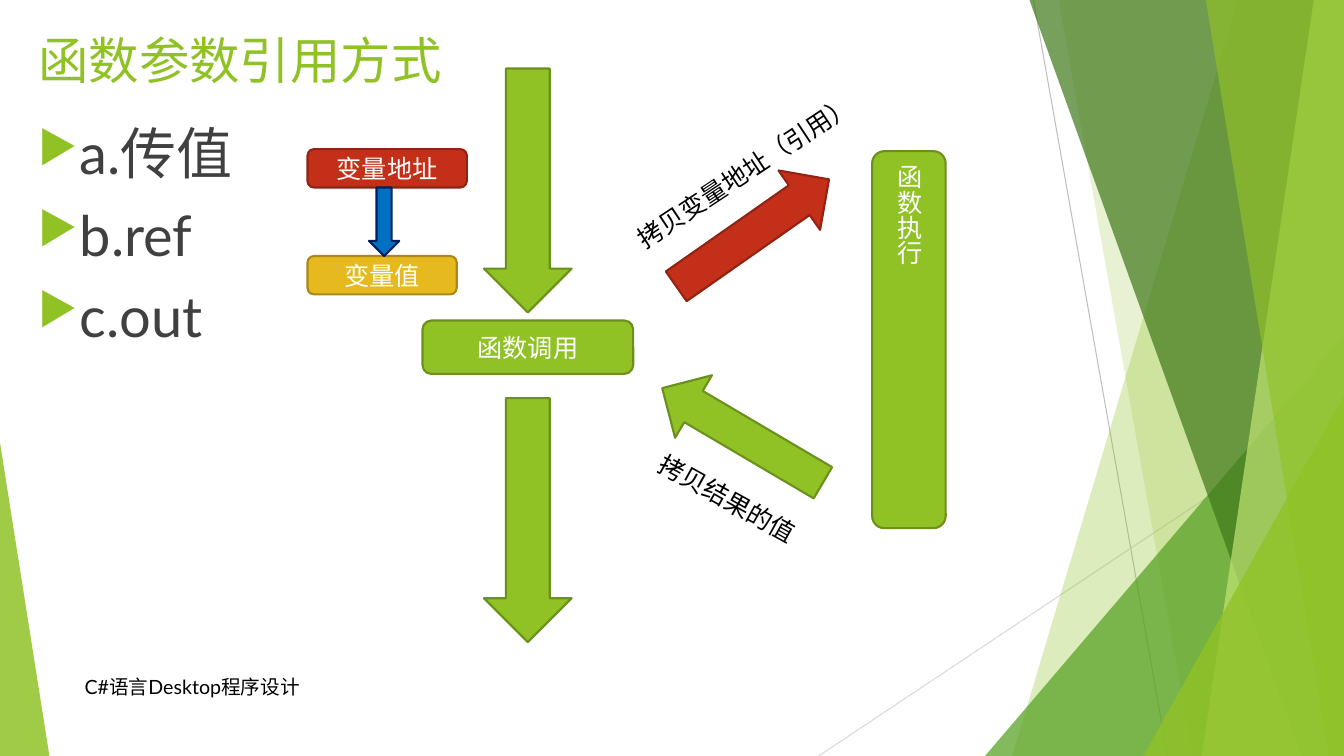
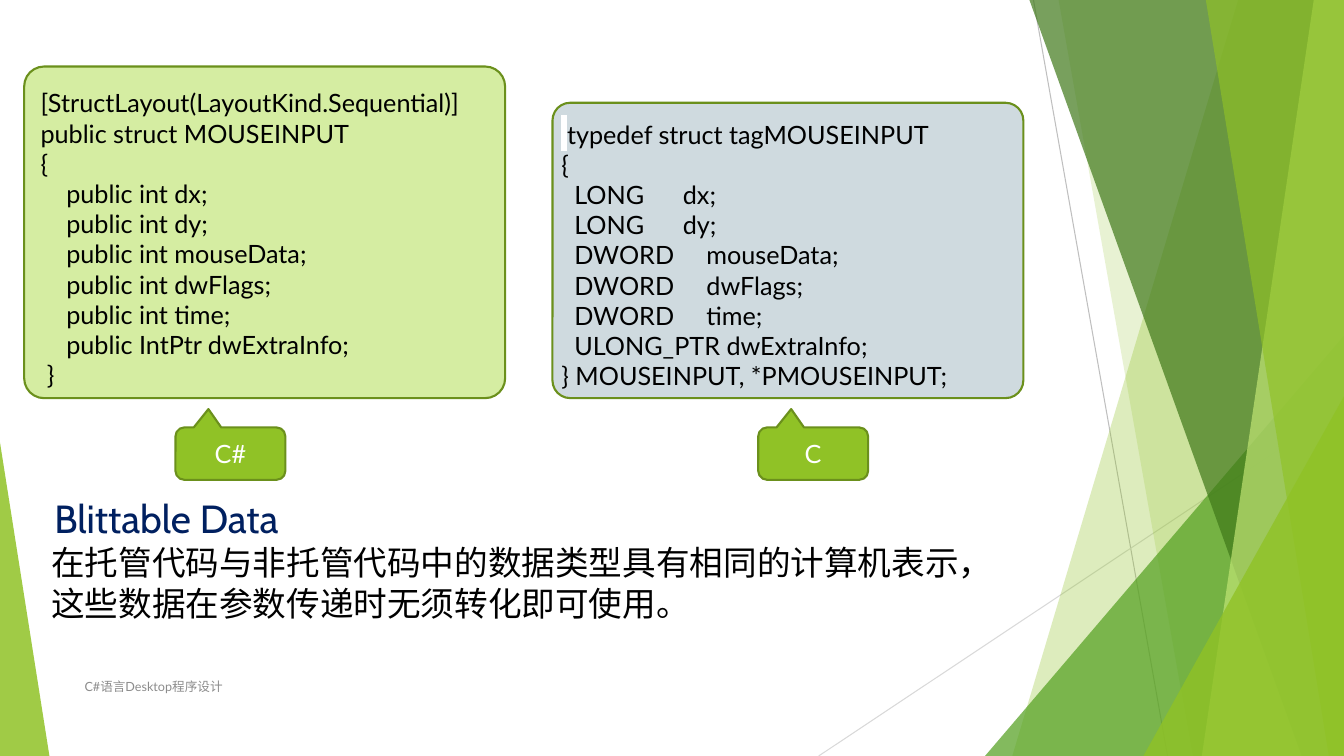
from lxml.etree import SubElement
from pptx import Presentation
from pptx.dml.color import RGBColor
from pptx.enum.shapes import MSO_CONNECTOR, MSO_SHAPE as SHAPE
from pptx.enum.text import MSO_ANCHOR as ANCHOR, PP_ALIGN as ALIGN
from pptx.oxml.ns import qn
from pptx.util import Inches, Pt

# Shared look
WIDTH, HEIGHT = 13.33, 7.5
LATO, CABIN, NOTO = "Lato", "Cabin", "Noto Sans CJK SC"
COLORS = {
    "green": "90C226", "green_edge": "6B901C", "leaf": "54A021",
    "forest": "3F7819", "lime": "C0E474", "pale": "D5EDA2",
    "red": "C42F1A", "red_edge": "912313", "gold": "E6B91E",
    "gold_edge": "AA8916", "blue": "0070C0", "navy": "002060",
    "mist": "CFDADF", "white": "FFFFFF", "black": "000000",
    "body": "404040", "gray": "8C8C8C", "rule": "BFBFBF",
    "light_rule": "D9D9D9",
}
EDGES = {"green": "green_edge", "red": "red_edge", "gold": "gold_edge",
         "blue": "navy", "pale": "green_edge", "mist": "green_edge"}
FOOTER = "C#语言Desktop程序设计"
FOOTER_AT = (0.74, 6.61, 6.89, 0.4)

# Backdrop: lines, then facets in stacking order
BACKDROP_LINES = [
    ((10.25, 0), (11.58, HEIGHT), "rule"),
    ((WIDTH, 4.03), (8.12, HEIGHT), "light_rule"),
]
# Bands reach the right edge: top left x, bottom left x, colour, opacity
# Triangles: box, apex position, colour, opacity
FACETS = [
    ("band", (12.28, 10.04), "green", 30),
    ("band", (10.5, 11.83), "green", 20),
    ("triangle", ((9.77, 3.33, 3.56, 4.17), 1), "leaf", 72),
    ("band", (10.21, 12.91), "forest", 70),
    ("band", (13.03, 11.92), "lime", 70),
    ("band", (11.96, 13.18), "green", 65),
    ("triangle", ((11.34, 3.93, 1.99, 3.57), 1), "green", 80),
    ("triangle", ((0, 4.39, 0.49, 3.11), 0), "green", 85),
]

# Slide 1: passing parameters
TITLE = "函数参数引用方式"
MODES = ["a.传值", "b.ref", "c.out"]
FLOW_SHAPES = [
    # kind, box, colour, rotation, text
    (SHAPE.DOWN_ARROW, (4.8, 0.68, 0.87, 2.42), "green", 0, ""),
    (SHAPE.DOWN_ARROW, (4.8, 3.95, 0.87, 2.42), "green", 0, ""),
    (SHAPE.ROUNDED_RECTANGLE, (4.19, 3.18, 2.09, 0.53), "green", 0, "函数调用"),
    (SHAPE.RIGHT_ARROW, (6.54, 1.95, 1.85, 0.72), "red", 325, ""),
    (SHAPE.RIGHT_ARROW, (6.44, 3.96, 1.85, 0.72), "green", 210.5, ""),
    (SHAPE.ROUNDED_RECTANGLE, (3.05, 1.48, 1.58, 0.38), "red", 0, "变量地址"),
    (SHAPE.ROUNDED_RECTANGLE, (3.05, 2.54, 1.48, 0.38), "gold", 0, "变量值"),
    (SHAPE.DOWN_ARROW, (3.66, 1.86, 0.3, 0.68), "blue", 0, ""),
]
EXECUTION = ("函数执行", (8.65, 1.5, 0.73, 3.74))
ARROW_LABELS = [
    ("拷贝变量地址（引用）", (6.04, 1.49, 2.74, 0.4), 326.5),
    ("拷贝结果的值", (6.36, 4.75, 1.72, 0.4), 29),
]

# Slide 2: the same structure in two languages
CSHARP_CODE = """\
 [StructLayout(LayoutKind.Sequential)]
 public struct MOUSEINPUT
 {
     public int dx;
     public int dy;
     public int mouseData;
     public int dwFlags;
     public int time;
     public IntPtr dwExtraInfo;
  }""".split("\n")
C_CODE = """\
 typedef struct tagMOUSEINPUT
{
  LONG      dx;
  LONG      dy;
  DWORD     mouseData;
  DWORD     dwFlags;
  DWORD     time;
  ULONG_PTR dwExtraInfo;
} MOUSEINPUT, *PMOUSEINPUT;""".split("\n")
CODE_PANELS = [
    # language, code, panel box, text box, colour, callout left
    ("C", C_CODE, (5.48, 1.02, 4.67, 2.93), (5.47, 1.13, 4.68, 2.83), "mist", 7.52),
    ("C#", CSHARP_CODE, (0.24, 0.66, 4.77, 3.29), (0.24, 0.82, 4.77, 3.13), "pale", 1.74),
]
BLITTABLE = "Blittable Data"
EXPLANATION = ["在托管代码与非托管代码中的数据类型具有相同的计算机表示，",
               "这些数据在参数传递时无须转化即可使用。"]


def inches(values):
    return [Inches(value) for value in values]


def rgb(name):
    return RGBColor.from_string(COLORS[name])


def style_span(span, size, color, font):
    for name, value in {"size": Pt(size), "name": font}.items():
        setattr(span.font, name, value)
    span.font.color.rgb = rgb(color)
    latin = span.font.fill and span._r.rPr.find(qn("a:latin"))
    east_asian = SubElement(span._r.rPr, qn("a:ea"), typeface=NOTO)
    latin.addnext(east_asian)


def write(frame, lines, size, color="black", font=NOTO, align=ALIGN.LEFT,
          anchor=ANCHOR.TOP):
    for name, value in {"word_wrap": True, "vertical_anchor": anchor}.items():
        setattr(frame, name, value)
    for index, line in enumerate(lines):
        para = frame.add_paragraph() if index else frame.paragraphs[0]
        para.alignment = align
        span = para.add_run()
        span.text = line
        style_span(span, size, color, font)


def add_text(page, at, lines, size, rotation=0, **look):
    box = page.shapes.add_textbox(*inches(at))
    box.rotation = rotation
    write(box.text_frame, lines, size, **look)
    return box


def paint(shape, color, opacity=None):
    shape.shadow.inherit = False
    shape.fill.solid()
    shape.fill.fore_color.rgb = rgb(color)
    if opacity is None:
        shape.line.color.rgb = rgb(EDGES[color])
        shape.line.width = Pt(1.5)
    else:
        shape.line.fill.background()
        tint = shape.element.spPr.find(qn("a:solidFill"))[0]
        SubElement(tint, qn("a:alpha"), val=str(opacity * 1000))


def add_box(page, kind, at, color, text="", font=NOTO, rotation=0, adjust=()):
    shape = page.shapes.add_shape(kind, *inches(at))
    shape.rotation = rotation
    for index, value in enumerate(adjust):
        shape.adjustments[index] = value
    paint(shape, color)
    if text:
        write(shape.text_frame, [text], 18, "white", font, ALIGN.CENTER, ANCHOR.MIDDLE)
    return shape


def draw_backdrop(page):
    parts = []
    for start, end, color in BACKDROP_LINES:
        line = page.shapes.add_connector(MSO_CONNECTOR.STRAIGHT, *inches(start + end))
        line.line.color.rgb = rgb(color)
        line.line.width = Pt(0.75)
        SubElement(line.element.spPr, qn("a:effectLst"))
        parts.append(line)
    for kind, geometry, color, opacity in FACETS:
        if kind == "band":
            top, bottom = geometry
            outline = page.shapes.build_freeform(Inches(top), 0)
            corners = [(WIDTH, 0), (WIDTH, HEIGHT), (bottom, HEIGHT)]
            outline.add_line_segments([inches(corner) for corner in corners])
            facet = outline.convert_to_shape()
        else:
            at, apex = geometry
            facet = page.shapes.add_shape(SHAPE.ISOSCELES_TRIANGLE, *inches(at))
            facet.adjustments[0] = apex
        paint(facet, color, opacity)
        parts.append(facet)
    return parts


def move_to_master(deck, parts):
    tree = deck.slide_master.shapes.element
    for index, part in enumerate(parts):
        part.element.find(".//" + qn("p:cNvPr")).set("id", str(100 + index))
        tree.insert(2 + index, part.element)


def add_footer(page, size, color):
    add_text(page, FOOTER_AT, [FOOTER], size, color=color, font=LATO,
             anchor=ANCHOR.MIDDLE)


def add_bullets(frame):
    for index, para in enumerate(frame.paragraphs):
        if index:
            para.space_before = Pt(10)
        props = para._p.get_or_add_pPr()
        props.set("marL", str(Inches(0.38)))
        props.set("indent", str(-Inches(0.38)))
        tint = SubElement(props, qn("a:buClr"))
        SubElement(tint, qn("a:srgbClr"), val=COLORS["green"])
        SubElement(props, qn("a:buSzPct"), val="80000")
        SubElement(props, qn("a:buChar"), char="▶")


def highlight_indent(para):
    """Split off the leading space and give it a white highlight."""
    code = para.runs[0]
    code.text = code.text[1:]
    space = para.add_run()
    space.text = " "
    style_span(space, 18, "black", NOTO)
    code._r.addprevious(space._r)
    mark = SubElement(space._r.rPr, qn("a:highlight"))
    SubElement(mark, qn("a:srgbClr"), val=COLORS["white"])
    space._r.rPr.find(qn("a:solidFill")).addnext(mark)


def build_parameters(page):
    add_footer(page, 14, "black")
    title = page.shapes.title
    place = zip(("left", "top", "width", "height"), inches((0.28, 0.24, 4.44, 0.89)))
    for name, value in place:
        setattr(title, name, value)
    write(title.text_frame, [TITLE], 36, "green", LATO)
    modes = add_text(page, (0.28, 1.13, 2.36, 2.58), MODES, 40, color="body", font=LATO)
    add_bullets(modes.text_frame)

    # Call flow
    text, at = EXECUTION
    execution = add_box(page, SHAPE.ROUNDED_RECTANGLE, at, "green", text)
    execution.element.txBody.find(qn("a:bodyPr")).set("vert", "eaVert")
    for kind, at, color, rotation, text in FLOW_SHAPES:
        add_box(page, kind, at, color, text, rotation=rotation)
    for text, at, rotation in ARROW_LABELS:
        add_text(page, at, [text], 18, rotation)


def build_structures(page):
    add_footer(page, 9, "gray")
    for language, code, panel_at, text_at, color, callout_left in CODE_PANELS:
        add_box(page, SHAPE.ROUNDED_RECTANGLE, panel_at, color, adjust=[0.06])
        listing = add_text(page, text_at, code, 18, font=LATO)
        if language == "C":
            highlight_indent(listing.text_frame.paragraphs[0])
        add_box(page, SHAPE.ROUNDED_RECTANGULAR_CALLOUT, (callout_left, 4.24, 1.09, 0.52),
                "green", language, LATO, adjust=[-0.2, -0.85, 0.17])

    # Explanation
    add_text(page, (0.44, 4.85, 2.6, 0.57), [BLITTABLE], 28, color="navy", font=CABIN)
    add_text(page, (0.41, 5.33, 9.63, 0.91), EXPLANATION, 24, font=CABIN)


def main():
    deck = Presentation()
    deck.slide_width, deck.slide_height = inches((WIDTH, HEIGHT))
    title_only, blank = deck.slide_layouts[5], deck.slide_layouts[6]
    parameters = deck.slides.add_slide(title_only)
    move_to_master(deck, draw_backdrop(parameters))
    build_parameters(parameters)
    build_structures(deck.slides.add_slide(blank))
    deck.save("out.pptx")


if __name__ == "__main__":
    main()
